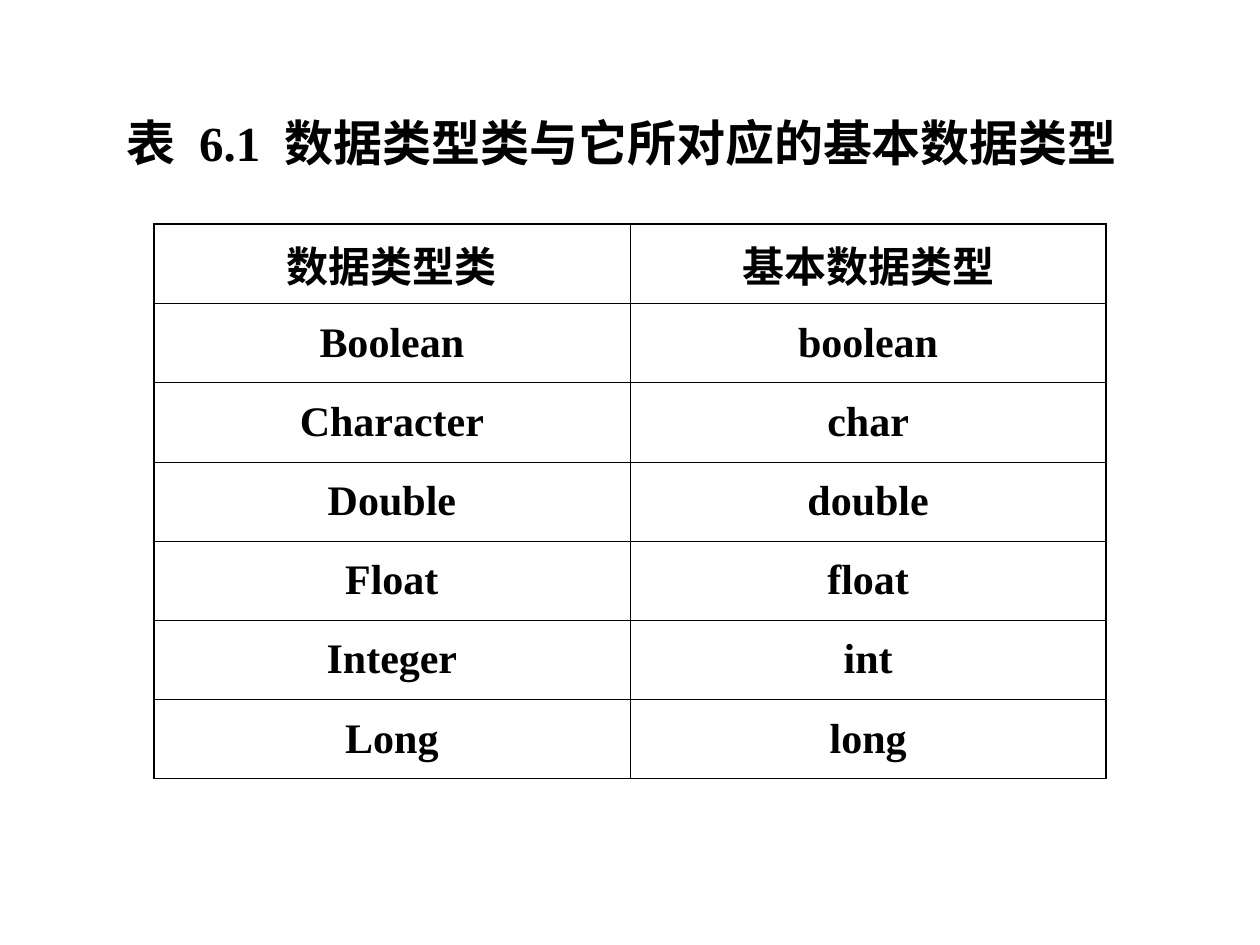
from lxml.etree import SubElement
from pptx import Presentation
from pptx.dml.color import RGBColor
from pptx.enum.text import MSO_ANCHOR, PP_ALIGN
from pptx.oxml.ns import qn
from pptx.util import Pt

CAPTION = ["表", " ", "6.1", " ", "数据类型类与它所对应的基本数据类型"]
TYPE_PAIRS = [
    ("数据类型类", "基本数据类型"),
    ("Boolean", "boolean"),
    ("Character", "char"),
    ("Double", "double"),
    ("Float", "float"),
    ("Integer", "int"),
    ("Long", "long"),
]
THEME = {
    "font": "Times New Roman",
    "ink": "000000",
    "caption_size": 28,
    "cell_size": 24,
    "outer_line": 1.08,
    "header_line": 0.45,
    "inner_line": 0.34,
    "caption_gap": 7,
}
CAPTION_BOX = (25.2, 60.5, 660.2, 46.1)
TABLE_LEFT, TABLE_TOP = 87.84, 128.16
COLUMN_WIDTH, ROW_HEIGHT = 272.16, 45.26


def add_words(paragraph, words, size):
    paragraph.alignment = PP_ALIGN.CENTER
    run = paragraph.add_run()
    run.text = words
    run.font.name = THEME["font"]
    run.font.size = Pt(size)
    run.font.bold = True
    run.font.color.rgb = RGBColor.from_string(THEME["ink"])
    return run


def add_border(cell, side, width):
    line = SubElement(cell._tc.get_or_add_tcPr(), qn(f"a:{side}"), w=str(Pt(width)))
    fill = SubElement(line, qn("a:solidFill"))
    SubElement(fill, qn("a:srgbClr"), val=THEME["ink"])


def border_widths(row, column, last_row, last_column):
    outer, header, inner = (THEME[k] for k in ("outer_line", "header_line", "inner_line"))
    divider = header if row == 0 else inner
    return {
        "lnL": outer if column == 0 else divider,
        "lnR": outer if column == last_column else divider,
        "lnT": outer if row == 0 else header if row == 1 else inner,
        "lnB": outer if row == last_row else divider,
    }


def add_caption(slide):
    caption = slide.shapes.add_textbox(*map(Pt, CAPTION_BOX)).text_frame
    caption.word_wrap = True
    for words in CAPTION:
        run = add_words(caption.paragraphs[0], words, THEME["caption_size"])
        if words == " ":
            run._r.get_or_add_rPr().set("spc", str(THEME["caption_gap"] * 100))


def add_type_table(slide):
    row_count, column_count = len(TYPE_PAIRS), len(TYPE_PAIRS[0])
    table = slide.shapes.add_table(
        row_count, column_count, Pt(TABLE_LEFT), Pt(TABLE_TOP),
        Pt(COLUMN_WIDTH * column_count), Pt(ROW_HEIGHT * row_count),
    ).table
    table.first_row = False
    table.horz_banding = False
    for column in table.columns:
        column.width = Pt(COLUMN_WIDTH)
    for r, pair in enumerate(TYPE_PAIRS):
        table.rows[r].height = Pt(ROW_HEIGHT)
        for c, type_name in enumerate(pair):
            cell = table.cell(r, c)
            cell.vertical_anchor = MSO_ANCHOR.MIDDLE
            add_words(cell.text_frame.paragraphs[0], type_name, THEME["cell_size"])
            widths = border_widths(r, c, row_count - 1, column_count - 1)
            for side, width in widths.items():
                add_border(cell, side, width)
            cell.fill.background()


def main():
    deck = Presentation()
    deck.slide_width, deck.slide_height = Pt(720), Pt(540)
    slide = deck.slides.add_slide(deck.slide_layouts[6])
    add_caption(slide)
    add_type_table(slide)
    deck.save("out.pptx")


if __name__ == "__main__":
    main()
